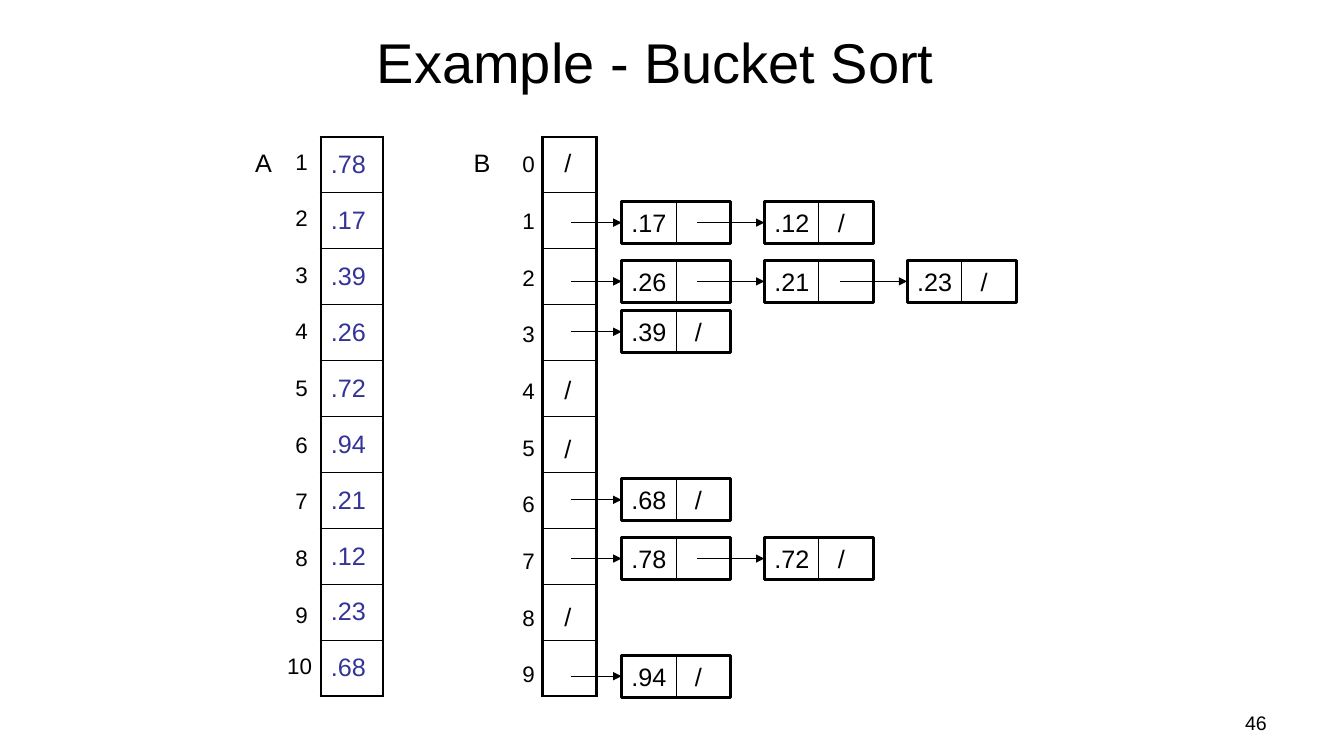
import pptx
import pptx.dml.color
import pptx.enum.shapes
import pptx.enum.text
import pptx.oxml
import pptx.oxml.ns
import pptx.util

COLUMNS, ROWS = 160, 90
UNIT = pptx.util.Inches(1 / 12)  # side of one grid square
BLACK, INDIGO = "000000", "333399"
ALIGN = pptx.enum.text.PP_ALIGN
ANCHOR = pptx.enum.text.MSO_ANCHOR
AUTO_SIZE = pptx.enum.text.MSO_AUTO_SIZE


def color(hex_code):
    return pptx.dml.color.RGBColor.from_string(hex_code)


def grid(*lengths):
    return [round(length * UNIT) for length in lengths]


def apply(target, values):
    for name, value in values.items():
        setattr(target, name, value)


def add_xml(parent, tag, **attributes):
    child = pptx.oxml.parse_xml(f"<a:{tag} {pptx.oxml.ns.nsdecls('a')}/>")
    for name, value in attributes.items():
        child.set(name, str(value))
    parent.append(child)
    return child


class BucketSlide:
    font_name = "Arial"
    node_width, node_height, node_step = 13, 5, 17
    slash_tab = pptx.util.Inches(0.63)

    def __init__(self, deck):
        self.slide = deck.slides.add_slide(deck.slide_layouts[5])
        self.shapes = self.slide.shapes

    def add_words(self, paragraph, text, size, hex_code=BLACK, align=ALIGN.LEFT):
        paragraph.alignment = align
        run = paragraph.add_run()
        run.text = text
        apply(run.font, {"name": self.font_name, "size": pptx.util.Pt(size)})
        run.font.color.rgb = color(hex_code)

    def title(self, text, *place):
        heading = self.shapes.title
        apply(heading, dict(zip(("left", "top", "width", "height"), grid(*place))))
        apply(heading.text_frame, {"vertical_anchor": ANCHOR.MIDDLE, "word_wrap": True,
                                   "auto_size": AUTO_SIZE.NONE})
        self.add_words(heading.text_frame.paragraphs[0], text, 40, align=ALIGN.CENTER)

    def label(self, text, size, *place, align=ALIGN.LEFT, wrap=False):
        frame = self.shapes.add_textbox(*grid(*place)).text_frame
        apply(frame, {"word_wrap": wrap, "auto_size": AUTO_SIZE.SHAPE_TO_FIT_TEXT})
        self.add_words(frame.paragraphs[0], text, size, align=align)

    def border(self, cell, side, width):
        edge = add_xml(cell._tc.get_or_add_tcPr(), side, w=pptx.util.Pt(width))
        add_xml(add_xml(edge, "solidFill"), "srgbClr", val=BLACK)

    def array(self, values, left, top, width, height):
        frame = self.shapes.add_table(len(values), 1, *grid(left, top, width, height))
        table = frame.table
        apply(table, {"first_row": False, "horz_banding": False})
        last = len(values) - 1
        for index, value in enumerate(values):
            table.rows[index].height = grid(height / len(values))[0]
            cell = table.cell(index, 0)
            cell.vertical_anchor = ANCHOR.MIDDLE
            for side, width in {"lnL": 2.25, "lnR": 2.25,
                                "lnT": 2.25 if index == 0 else 1,
                                "lnB": 2.25 if index == last else 1}.items():
                self.border(cell, side, width)
            cell.fill.background()
            if value:
                self.add_words(cell.text_frame.paragraphs[0], value, 18, INDIGO)

    def line(self, x1, y1, x2, y2, arrow=False):
        connector = self.shapes.add_connector(
            pptx.enum.shapes.MSO_CONNECTOR.STRAIGHT, *grid(x1, y1, x2, y2))
        connector.line.width = pptx.util.Pt(0.75)
        connector.line.color.rgb = color(BLACK)
        if arrow:
            add_xml(connector.line._get_or_add_ln(), "tailEnd", type="triangle")
        add_xml(connector._element.spPr, "effectLst")
        return connector

    def node(self, value, left, top, pointer_start, is_last):
        box = self.shapes.add_shape(
            pptx.enum.shapes.MSO_SHAPE.RECTANGLE,
            *grid(left, top, self.node_width, self.node_height))
        box.shadow.inherit = False
        box.fill.background()
        box.line.width = pptx.util.Pt(2)
        box.line.color.rgb = color(BLACK)
        apply(box.text_frame, {"word_wrap": True, "vertical_anchor": ANCHOR.MIDDLE})
        entry = box.text_frame.paragraphs[0]
        if is_last:
            tabs = add_xml(entry._p.get_or_add_pPr(), "tabLst")
            add_xml(tabs, "tab", pos=self.slash_tab, algn="l")
        self.add_words(entry, value + ("\t/" if is_last else ""), 18)

        # Divider between the value and the next pointer
        middle = left + self.node_width / 2
        divider = self.line(middle, top, middle, top + self.node_height)
        divider.begin_connect(box, 0)
        divider.end_connect(box, 2)

        # Pointer arriving from the bucket or the previous node
        level = top + self.node_height / 2
        pointer = self.line(pointer_start, level, left, level, arrow=True)
        pointer.end_connect(box, 1)

    def chain(self, values, top, bucket_middle=68, first_left=74):
        for index, value in enumerate(values):
            left = first_left + index * self.node_step
            start = left - 8 if index else bucket_middle
            self.node(value, left, top, start, index == len(values) - 1)


def main():
    deck = pptx.Presentation()
    deck.slide_width, deck.slide_height = grid(COLUMNS, ROWS)
    page = BucketSlide(deck)
    page.title("Example - Bucket Sort", 6, 1.3, 144, 11.9)
    page.label("46", 14, 114.7, 84, 37.3, 4.2, align=ALIGN.RIGHT, wrap=True)

    # Input array A and bucket array B
    unsorted = [".78", ".17", ".39", ".26", ".72", ".94", ".21", ".12", ".23", ".68"]
    page.array(unsorted, 38.2, 16.3, 7.4, 66.6)
    page.array([""] * 10, 64.6, 16.3, 6.4, 66.6)
    page.label("A", 18, 29.2, 16.9, 4.4, 4.8)
    page.label("B", 18, 55.2, 17, 4.4, 4.8)

    # Indices of both arrays
    for row in range(10):
        page.label(str(row), 16, 61, 17.3 + row * 6.75, 3.8, 4.4)
        if row < 9:
            page.label(str(row + 1), 16, 34, 17 + row * 6.74, 3.8, 4.4)
    page.label("10", 16, 33, 77, 5.4, 4.4)

    # Linked lists, by the grid row of their top
    chains = {24: [".17", ".12"], 31: [".26", ".21", ".23"], 37: [".39"],
              57: [".68"], 64: [".78", ".72"], 78: [".94"]}
    for top, values in chains.items():
        page.chain(values, top)

    # Empty buckets
    for top in (17, 44, 51, 71):
        page.label("/", 18, 66, top, 3.2, 4.8)

    deck.save("out.pptx")


if __name__ == "__main__":
    main()
